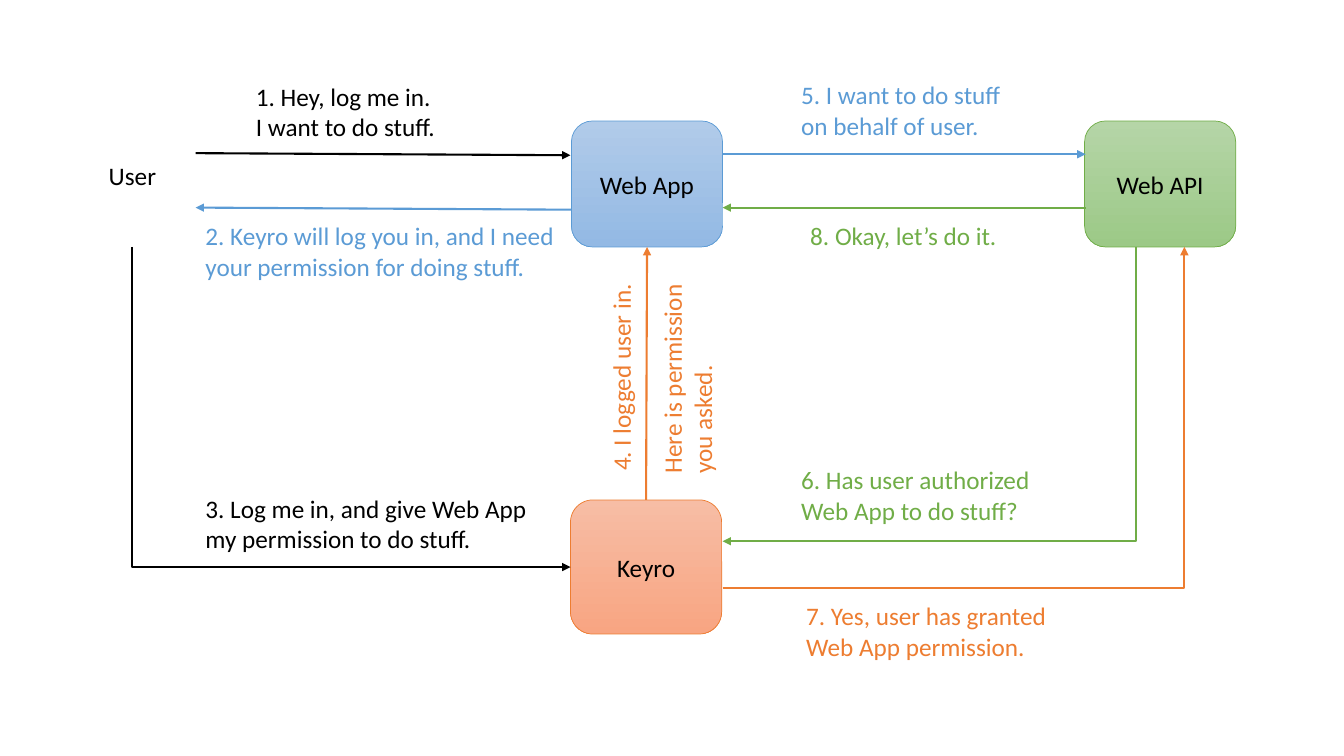
from lxml.etree import SubElement
from pptx import Presentation
from pptx.dml.color import RGBColor
from pptx.enum.shapes import MSO_CONNECTOR, MSO_SHAPE
from pptx.enum.text import MSO_ANCHOR, MSO_AUTO_SIZE, PP_ALIGN
from pptx.oxml.ns import qn
from pptx.util import Pt

BLACK = RGBColor(0x00, 0x00, 0x00)
BLUE = RGBColor(0x5B, 0x9B, 0xD5)
GREEN = RGBColor(0x70, 0xAD, 0x47)
ORANGE = RGBColor(0xED, 0x7D, 0x31)
BLUE_FADE = RGBColor(0xB1, 0xCB, 0xE9), RGBColor(0x93, 0xB9, 0xE4)
GREEN_FADE = RGBColor(0xB5, 0xD5, 0xA7), RGBColor(0x9C, 0xC9, 0x87)
ORANGE_FADE = RGBColor(0xF7, 0xBD, 0xA5), RGBColor(0xF8, 0xA5, 0x82)

FONT = {"name": "Calibri", "size": Pt(18)}
NODE_FRAME = {"vertical_anchor": MSO_ANCHOR.MIDDLE, "word_wrap": True}
ONE_LINE, TWO_LINES = 28.8, 51.1


def apply(target, values):
    for name, value in values.items():
        setattr(target, name, value)


def write(p, text, color):
    r = p.add_run()
    r.text = text
    apply(r.font, FONT)
    r.font.color.rgb = color


def add_node(s, box, text, color, fade):
    sp = s.shapes.add_shape(MSO_SHAPE.ROUNDED_RECTANGLE, *map(Pt, box))
    sp.shadow.inherit = False
    sp.fill.gradient()
    sp.fill.gradient_angle = 270
    for stop, rgb, position in zip(sp.fill.gradient_stops, fade, (0, 1)):
        stop.color.rgb = rgb
        stop.position = position
    sp.line.color.rgb = color
    sp.line.width = Pt(0.5)
    apply(sp.text_frame, NODE_FRAME)
    p = sp.text_frame.paragraphs[0]
    p.alignment = PP_ALIGN.CENTER
    write(p, text, BLACK)
    return sp


def add_label(s, box, offset, size, lines, color, wrap=True, rotation=0):
    x, y = box[0] + offset[0], box[1] + offset[1]
    sp = s.shapes.add_textbox(Pt(x), Pt(y), *map(Pt, size))
    sp.rotation = rotation
    tf = sp.text_frame
    apply(tf, {"word_wrap": wrap, "auto_size": MSO_AUTO_SIZE.SHAPE_TO_FIT_TEXT})
    for i, line in enumerate(lines):
        write(tf.add_paragraph() if i else tf.paragraphs[0], line, color)


def add_arrow(s, box, start, end, color, bend=None):
    kind = MSO_CONNECTOR.STRAIGHT if bend is None else MSO_CONNECTOR.ELBOW
    ends = [Pt(box[i] + point[i]) for point in (start, end) for i in (0, 1)]
    cx = s.shapes.add_connector(kind, *ends)
    cx.line.color.rgb = color
    cx.line.width = Pt(1.5)
    SubElement(cx.line._get_or_add_ln(), qn("a:tailEnd"), type="triangle")
    spPr = cx._element.spPr
    SubElement(spPr, qn("a:effectLst"))
    if bend is not None:
        geom = spPr.find(qn("a:prstGeom"))
        guides = geom.find(qn("a:avLst"))
        if guides is None:
            guides = SubElement(geom, qn("a:avLst"))
        SubElement(guides, qn("a:gd"), name="adj1", fmla=f"val {bend}")
    return cx


def user_exchange(s, box):
    add_arrow(s, box, (69.7, 55.4), (337.5, 56.9), BLACK)
    add_arrow(s, box, (338.2, 95.8), (69.7, 94.3), BLUE)
    add_arrow(s, box, (24.3, 122.4), (337.5, 351), BLACK, bend=0)
    add_label(s, box, (0.6, 56.9), (48.2, ONE_LINE), ["User"], BLACK)
    add_label(s, box, (105.7, 0.7), (151.2, TWO_LINES),
              ["1. Hey, log me in.", "I want to do stuff."], BLACK)
    add_label(s, box, (69.7, 100.1), (273.6, TWO_LINES),
              ["2. Keyro will log you in, and I need your permission for doing stuff."], BLUE)
    add_label(s, box, (69.7, 294.5), (259.2, TWO_LINES),
              ["3. Log me in, and give Web App my permission to do stuff."], BLACK)


def api_exchange(s, box):
    add_arrow(s, box, (0.2, 57.2), (259.4, 57.2), BLUE)
    add_arrow(s, box, (259.4, 95.3), (0.2, 95.3), GREEN)
    add_arrow(s, box, (295.4, 123.4), (0.2, 333.6), GREEN, bend=0)
    add_arrow(s, box, (0.2, 366.8), (330, 123.4), ORANGE, bend=100000)
    add_label(s, box, (49.2, 0.3), (160.6, TWO_LINES),
              ["5. I want to do stuff", "on behalf of user."], BLUE)
    add_label(s, box, (55.7, 101.1), (149, ONE_LINE),
              ["8. Okay, let’s do it."], GREEN, wrap=False)
    add_label(s, box, (49.2, 275.3), (194.4, TWO_LINES),
              ["6. Has user authorized", "Web App to do stuff?"], GREEN)
    add_label(s, box, (52.8, 372.5), (203.8, TWO_LINES),
              ["7. Yes, user has granted", "Web App permission."], ORANGE)


def permission_link(s, box, auth, app):
    cx = add_arrow(s, box, (53.5, 180.7), (54.2, 0), ORANGE)
    cx.begin_connect(auth, 0)
    cx.end_connect(app, 2)
    add_label(s, box, (-41.5, 75.6), (154.1, ONE_LINE),
              ["4. I logged user in."], ORANGE, rotation=270)
    add_label(s, box, (7.4, 67.7), (151.2, TWO_LINES),
              ["Here is permission", "you asked."], ORANGE, wrap=False, rotation=270)


def main():
    prs = Presentation()
    apply(prs, {"slide_width": Pt(960), "slide_height": Pt(540)})
    s = prs.slides.add_slide(prs.slide_layouts[6])
    add_node(s, (774.7, 86.4, 108, 90), "Web API", GREEN, GREEN_FADE)
    app = add_node(s, (408.2, 86.4, 108, 90), "Web App", BLUE, BLUE_FADE)
    auth = add_node(s, (407.5, 357.1, 108, 95.8), "Keyro", ORANGE, ORANGE_FADE)
    user_exchange(s, (70, 54))
    api_exchange(s, (516, 53))
    permission_link(s, (408, 176.4), auth, app)
    prs.save("out.pptx")


if __name__ == "__main__":
    main()
